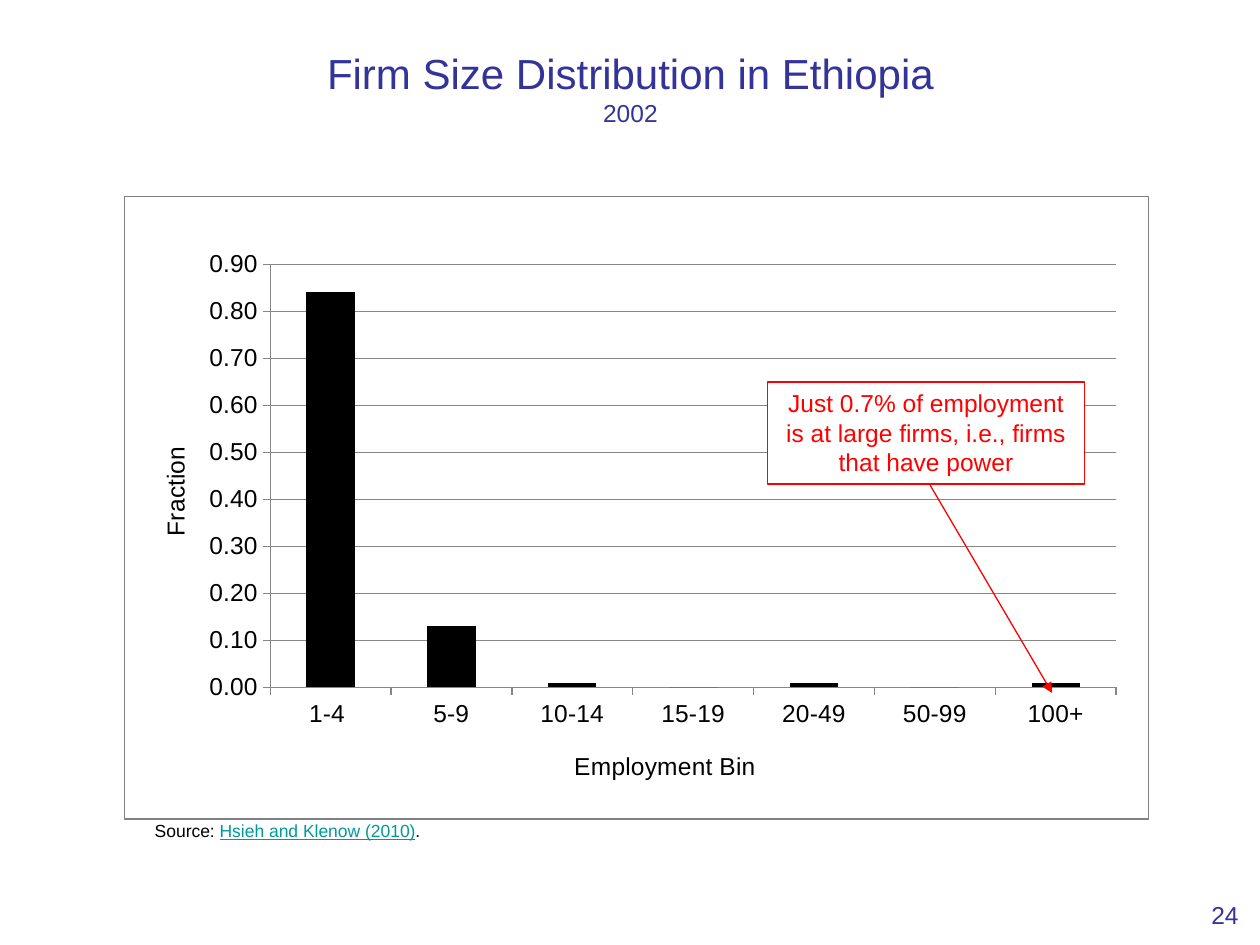
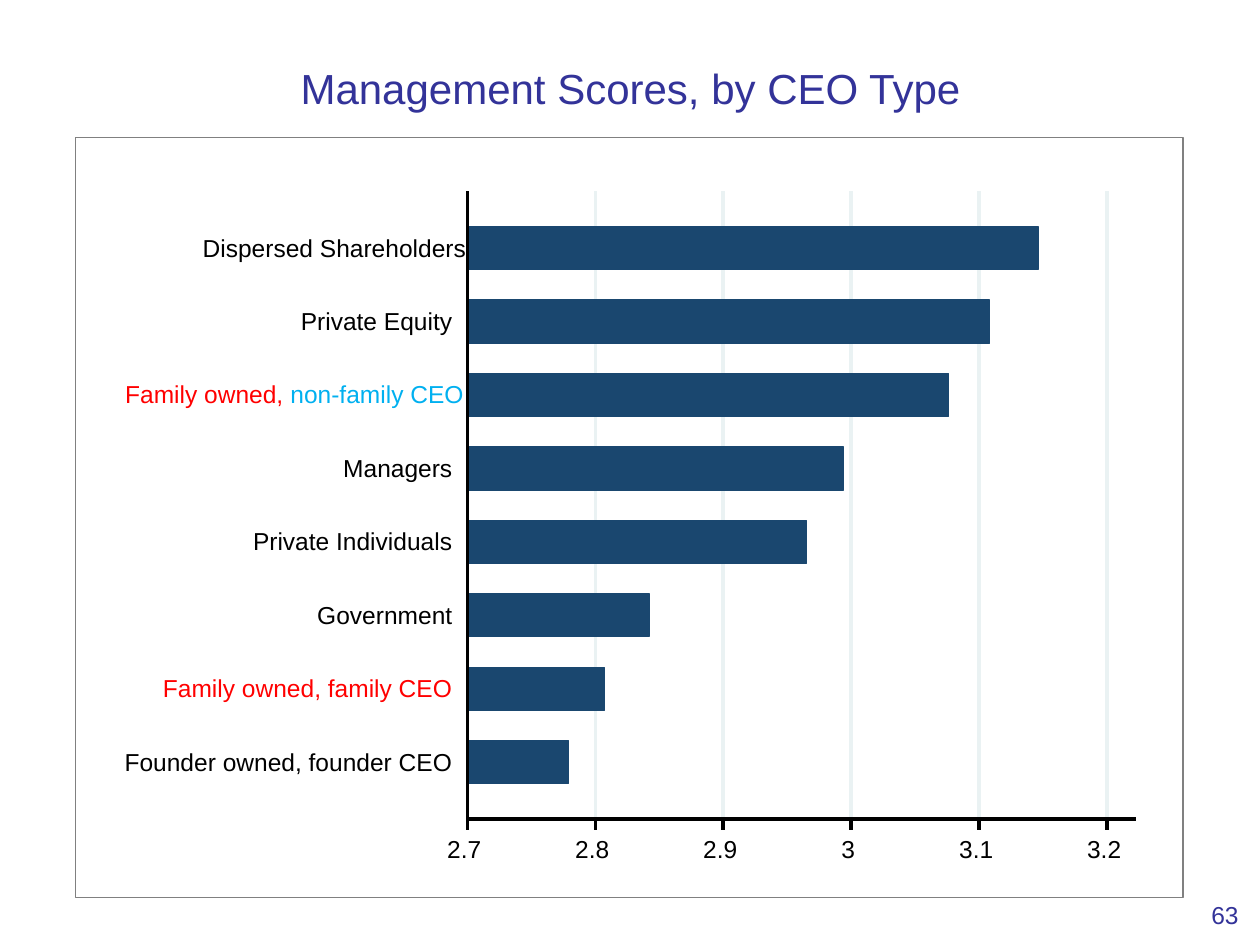
from dataclasses import dataclass

from lxml.etree import SubElement
from pptx import Presentation
from pptx.chart.data import CategoryChartData
from pptx.dml.color import RGBColor
from pptx.enum.chart import XL_CHART_TYPE as ChartType, XL_TICK_MARK as TickMark
from pptx.enum.shapes import MSO_CONNECTOR as Connector, MSO_SHAPE as Shape
from pptx.enum.text import MSO_ANCHOR as Anchor, PP_ALIGN as Align
from pptx.oxml.ns import qn
from pptx.util import Cm, Pt

FONT = "Arial"
BODY_SIZE = 14
COLORS = {
    "title": "333399",
    "text": "000000",
    "white": "FFFFFF",
    "frame": "808080",
    "grid": "868686",
    "pale_grid": "EAF2F3",
    "bar": "1A476F",
    "red": "FF0000",
    "blue": "00B0F0",
    "link": "009999",
}

FIRM_BINS = ["1-4 ", "5-9", "10-14", "15-19", "20-49", "50-99", "100+"]
FIRM_FRACTIONS = [0.84, 0.13, 0.01, 0, 0.01, 0, 0.01]


@dataclass
class Run:
    text: str
    color: str = "text"
    size: float = BODY_SIZE
    underline: bool = False
    new_line: bool = False


# Each row: label runs, score, gap in cm between label and axis
CEO_SCORES = [
    ([Run("Dispersed Shareholders")], 3.146, 0.02),
    ([Run("Private Equity")], 3.108, 0.3),
    ([Run("Family owned, ", "red"), Run("non-family CEO", "blue")], 3.076, 0.07),
    ([Run("Managers")], 2.994, 0.3),
    ([Run("Private Individuals")], 2.965, 0.3),
    ([Run("Government")], 2.842, 0.3),
    ([Run("Family owned, family CEO", "red")], 2.807, 0.3),
    ([Run("Founder owned, founder CEO")], 2.779, 0.3),
]


def rgb(name):
    return RGBColor.from_string(COLORS[name])


def lengths(*values):
    return [Cm(value) for value in values]


def style_font(font, color="text", size=BODY_SIZE, underline=None):
    font.name = FONT
    font.size = Pt(size)
    font.bold = False
    font.underline = underline
    font.color.rgb = rgb(color)


def style_line(line, color, width=0.75):
    line.color.rgb = rgb(color)
    line.width = Pt(width)


def write_runs(text_frame, runs, align=Align.LEFT, anchor=Anchor.TOP, insets=None):
    """Fill a text frame with one paragraph; insets are left, top, right, bottom in cm."""
    text_frame.word_wrap = True
    text_frame.vertical_anchor = anchor
    if insets:
        (text_frame.margin_left, text_frame.margin_top,
         text_frame.margin_right, text_frame.margin_bottom) = lengths(*insets)
    paragraph = text_frame.paragraphs[0]
    paragraph.alignment = align
    for item in runs:
        if item.new_line:
            paragraph.add_line_break()
        run = paragraph.add_run()
        run.text = item.text
        style_font(run.font, item.color, item.size, item.underline or None)


def add_text(shapes, box, runs, **text_format):
    write_runs(shapes.add_textbox(*lengths(*box)).text_frame, runs, **text_format)


def add_rectangle(shapes, box, fill=None, line=None, line_width=0.75):
    shape = shapes.add_shape(Shape.RECTANGLE, *lengths(*box))
    shape.shadow.inherit = False
    if fill:
        shape.fill.solid()
        shape.fill.fore_color.rgb = rgb(fill)
    else:
        shape.fill.background()
    style_line(shape.line, line, line_width)
    return shape


def add_line(shapes, start, end, color, width=0.0, arrow=False):
    connector = shapes.add_connector(Connector.STRAIGHT, *lengths(*start, *end))
    style_line(connector.line, color, width)
    properties = connector._element.spPr
    if arrow:
        SubElement(properties.find(qn("a:ln")), qn("a:tailEnd"), type="triangle")
    SubElement(properties, qn("a:effectLst"))


def add_slide(presentation, number, title, subtitle=None):
    slide = presentation.slides.add_slide(presentation.slide_layouts[6])
    runs = [Run(title, "title", 24)]
    if subtitle:
        runs.append(Run(subtitle, "title", new_line=True))
    add_text(slide.shapes, (0.99, 0.76, 23.44, 2.01), runs,
             align=Align.CENTER, anchor=Anchor.MIDDLE)
    add_text(slide.shapes, (23.85, 17.42, 1.37, 1.32), [Run(str(number), "title")],
             align=Align.RIGHT, anchor=Anchor.BOTTOM, insets=(0.25, 0, 0.25, 0))
    return slide


def place_chart_part(parent, index, **fractions):
    """Fix a plot area or title at fractions of the chart size."""
    for old_layout in parent.findall(qn("c:layout")):
        parent.remove(old_layout)
    layout = SubElement(parent, qn("c:layout"))
    parent.insert(index, layout)
    manual = SubElement(layout, qn("c:manualLayout"))
    if "w" in fractions:
        SubElement(manual, qn("c:layoutTarget"), val="inner")
    for mode in ("xMode", "yMode"):
        SubElement(manual, qn(f"c:{mode}"), val="edge")
    for key, value in fractions.items():
        SubElement(manual, qn(f"c:{key}"), val=str(value))


def style_axis(axis, title, x, y):
    axis.major_tick_mark = TickMark.OUTSIDE
    axis.minor_tick_mark = TickMark.NONE
    style_font(axis.tick_labels.font)
    style_line(axis.format.line, "grid")
    write_title = axis.axis_title.text_frame.paragraphs[0].add_run()
    write_title.text = title
    style_font(write_title.font)
    place_chart_part(axis.axis_title._element, 1, x=x, y=y)


def add_column_chart(shapes, box, categories, values):
    data = CategoryChartData()
    data.categories = categories
    data.add_series("Series 1", values)
    chart = shapes.add_chart(ChartType.COLUMN_CLUSTERED, *lengths(*box), data).chart
    style_font(chart.font)
    chart.has_legend = False
    chart.has_title = False
    plot = chart.plots[0]
    plot.gap_width = 150
    plot.vary_by_categories = False
    fill = plot.series[0].format.fill
    fill.solid()
    fill.fore_color.rgb = rgb("text")

    style_axis(chart.category_axis, "Employment Bin", 0.44, 0.9)
    value_axis = chart.value_axis
    style_axis(value_axis, "Fraction", 0.03, 0.36)
    value_axis.axis_title.text_frame._txBody.bodyPr.set("rot", "-5400000")
    value_axis.minimum_scale, value_axis.maximum_scale = 0, 0.9
    value_axis.major_unit = 0.1
    value_axis.tick_labels.number_format = "0.00"
    value_axis.tick_labels.number_format_is_linked = False
    style_line(value_axis.major_gridlines.format.line, "grid")
    plot_area = chart._chartSpace.chart.plotArea
    place_chart_part(plot_area, 0, x=0.144, y=0.044, w=0.836, h=0.753)


def add_score_bars(shapes, rows):
    """Draw horizontal score bars on an axis that starts at 2.7."""
    left, top, width, height = panel = (9.42, 3.86, 13.49, 12.65)
    bottom = top + height
    axis_start, tick_unit, tick_gap = 2.7, 0.1, 2.58
    bar_top, bar_step, bar_height = 4.57, 1.48, 0.87
    label_width = 7.1
    ticks = [(left + i * tick_gap, axis_start + i * tick_unit) for i in range(6)]

    add_rectangle(shapes, panel, "white", "white", 0)
    for x, _ in ticks[1:]:
        add_line(shapes, (x, bottom), (x, top), "pale_grid")
    for row, (label, score, label_gap) in enumerate(rows):
        y = bar_top + row * bar_step
        length = (score - axis_start) / tick_unit * tick_gap
        add_rectangle(shapes, (left, y, length, bar_height), "bar", "bar", 0)
        add_text(shapes, (left - label_gap - label_width, y + 0.12, label_width, 0.6),
                 label, align=Align.RIGHT, insets=(0, 0, 0, 0))
    for x, value in ticks:
        add_line(shapes, (x, bottom), (x, bottom + 0.22), "text")
        add_text(shapes, (x - 0.51, 16.81, 0.9, 0.6), [Run(f"{value:g}")],
                 align=Align.CENTER, insets=(0, 0, 0, 0))
    add_line(shapes, (left, bottom), (left + width, bottom), "text")
    add_line(shapes, (left, bottom), (left, top), "text")


def build_firm_size_slide(presentation):
    shapes = add_slide(presentation, 24, "Firm Size Distribution in Ethiopia", "2002").shapes
    add_column_chart(shapes, (2.51, 4.83, 20.4, 11.33), FIRM_BINS, FIRM_FRACTIONS)
    add_rectangle(shapes, (2.51, 3.96, 20.65, 12.55), line="frame")
    callout = add_rectangle(shapes, (15.47, 7.7, 6.4, 2.06), "white", "red")
    message = "Just 0.7% of employment is at large firms, i.e., firms that have power"
    write_runs(callout.text_frame, [Run(message, "red")], align=Align.CENTER)
    add_line(shapes, (18.75, 9.78), (21.21, 13.97), "red", 0.75, arrow=True)
    add_text(shapes, (2.87, 16.41, 6.38, 0.69), [
        Run("Source: ", size=10),
        Run("Hsieh and Klenow (2010)", "link", 10, underline=True),
        Run(".", size=10),
    ])


def build_management_slide(presentation):
    slide = add_slide(presentation, 63, "Management Scores, by CEO Type")
    shapes = slide.shapes.add_group_shape().shapes
    add_score_bars(shapes, CEO_SCORES)
    add_rectangle(shapes, (1.52, 2.77, 22.33, 15.32), line="frame")


def main():
    presentation = Presentation()
    presentation.slide_width, presentation.slide_height = lengths(25.4, 19.05)
    build_firm_size_slide(presentation)
    build_management_slide(presentation)
    presentation.save("out.pptx")


if __name__ == "__main__":
    main()
